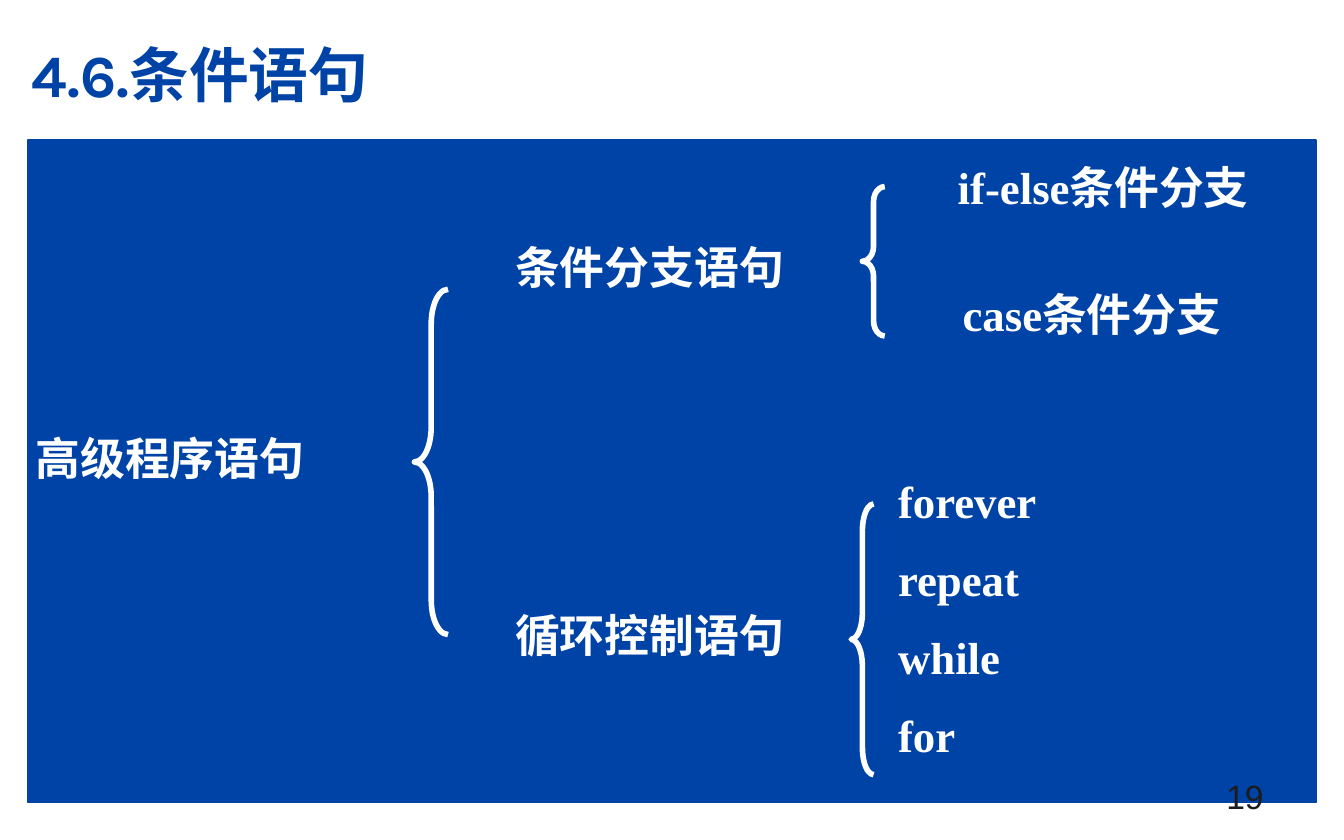
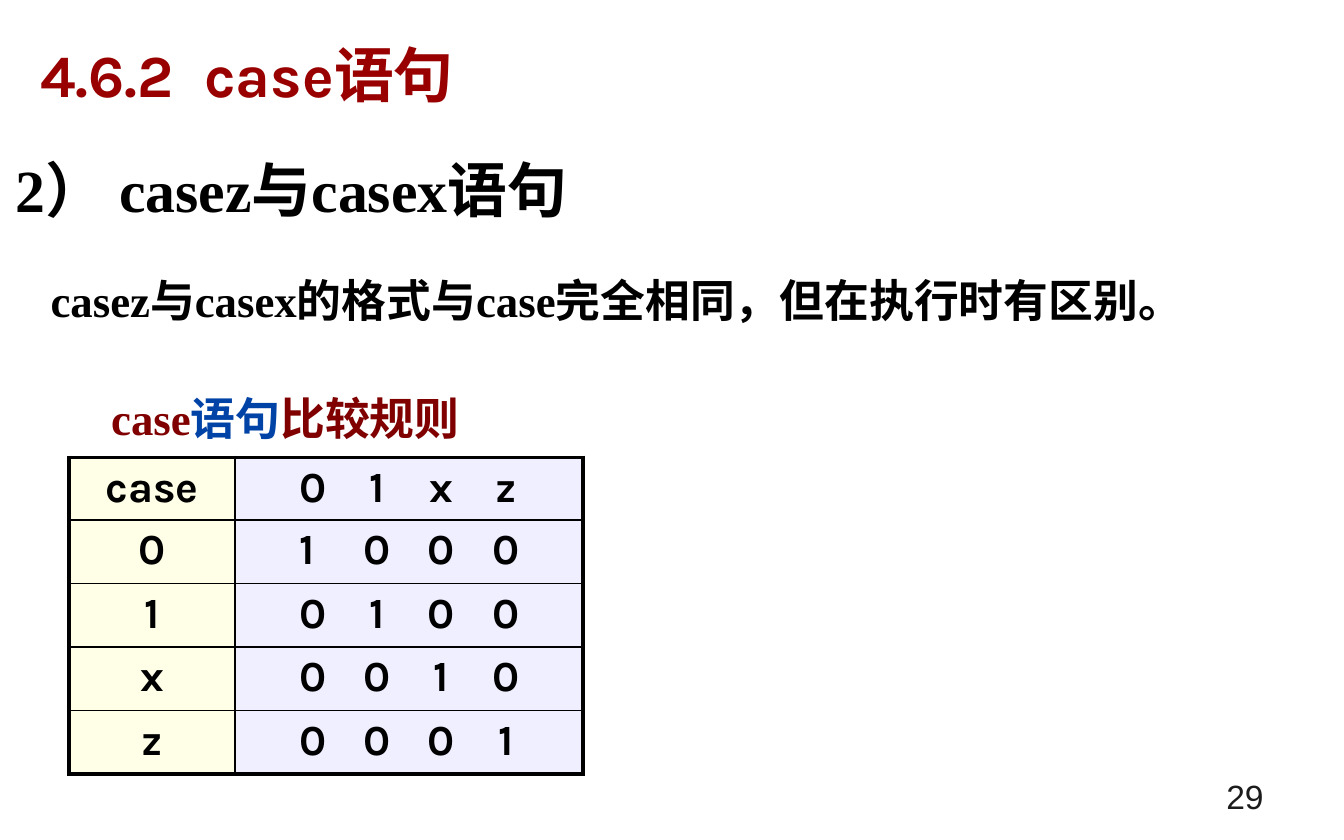
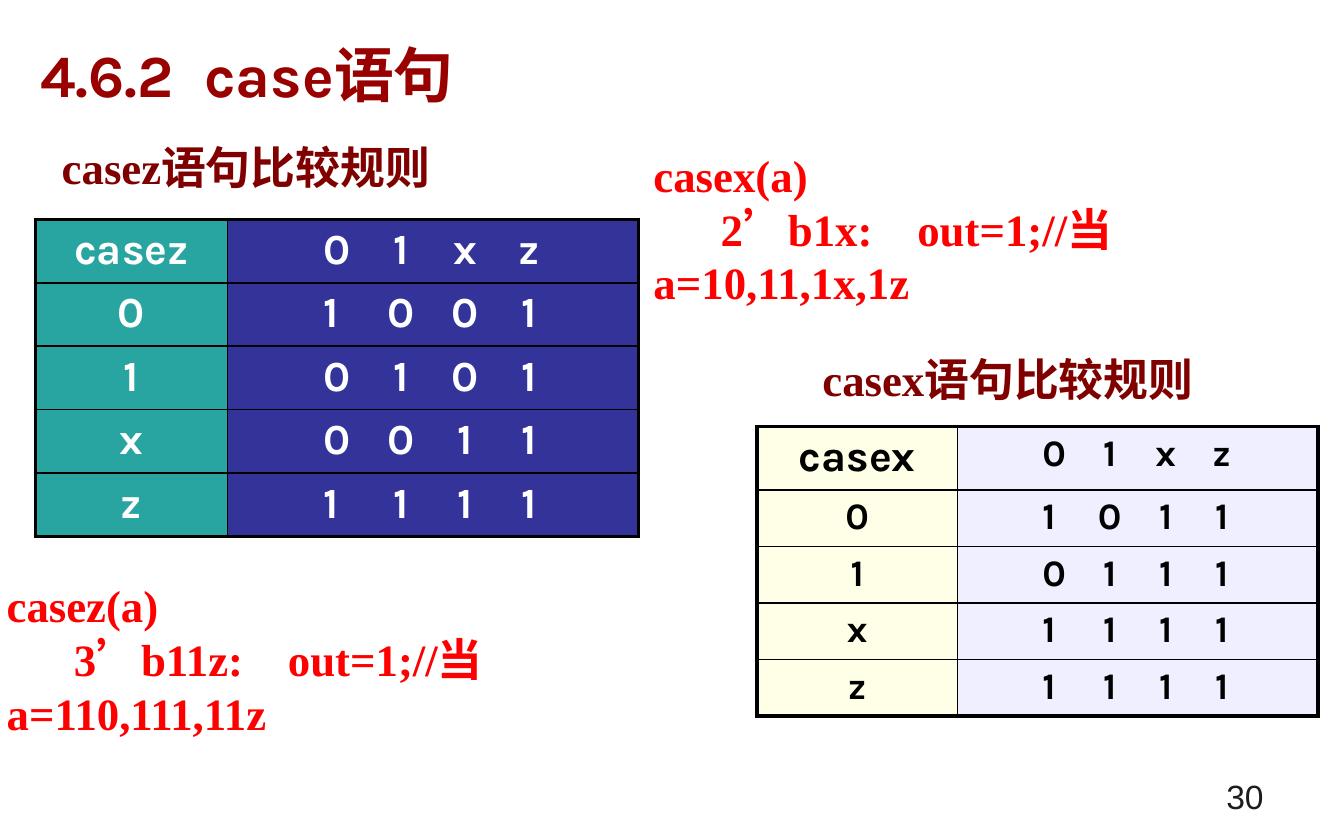
from dataclasses import dataclass

from lxml import etree
from pptx import Presentation
from pptx.dml.color import RGBColor
from pptx.enum.shapes import MSO_SHAPE
from pptx.enum.text import MSO_ANCHOR, PP_ALIGN
from pptx.oxml.ns import qn
from pptx.util import Pt

LEFT, CENTER, RIGHT = PP_ALIGN.LEFT, PP_ALIGN.CENTER, PP_ALIGN.RIGHT
TOP, BOTTOM = MSO_ANCHOR.TOP, MSO_ANCHOR.BOTTOM
RECTANGLE, LEFT_BRACE = MSO_SHAPE.RECTANGLE, MSO_SHAPE.LEFT_BRACE


@dataclass(frozen=True)
class Theme:
    blue: str = "0043A6"
    white: str = "FFFFFF"
    black: str = "000000"
    title_red: str = "990000"
    caption_red: str = "800000"
    code_red: str = "FF0000"
    number_gray: str = "1C1C1C"
    light_fills: tuple = ("FFFFE7", "EFEFFF")
    dark_fills: tuple = ("28A4A1", "333399")
    title_font: str = "Karla"
    body_font: str = "Times New Roman"
    number_font: str = "Arial"
    title_size: float = 32
    body_size: float = 24
    table_size: float = 23
    small_table_size: float = 20
    number_size: float = 18
    outer_border: float = 2.25
    inner_border: float = 1


THEME = Theme()


# Text
def add_run(paragraph, text, color, size, font):
    run = paragraph.add_run()
    run.text = text
    run.font.name = font
    run.font.size = Pt(size)
    run.font.bold = font != THEME.number_font
    run.font.color.rgb = RGBColor.from_string(color)


def add_tabs(paragraph, positions, alignment):
    tab_list = etree.SubElement(paragraph._p.get_or_add_pPr(), qn("a:tabLst"))
    for position in positions:
        etree.SubElement(tab_list, qn("a:tab"), pos=str(Pt(position)), algn=alignment)


def add_text(slide, box, lines, color=THEME.black, size=THEME.body_size,
             font=THEME.body_font, align=LEFT, anchor=TOP, gap=0):
    """Each line is a string, or a list of (text, color) runs."""
    frame = slide.shapes.add_textbox(*map(Pt, box)).text_frame
    frame.word_wrap = True
    frame.vertical_anchor = anchor
    for index, line in enumerate(lines):
        paragraph = frame.add_paragraph() if index else frame.paragraphs[0]
        paragraph.alignment = align
        if index and gap:
            paragraph.space_before = Pt(gap)
        runs = [(line, color)] if isinstance(line, str) else line
        for text, run_color in runs:
            add_run(paragraph, text, run_color, size, font)
    return frame


def add_title(slide, text, left, color):
    frame = add_text(slide, (left, 21, 612, 45), [text], color,
                     THEME.title_size, THEME.title_font)
    paragraph = frame.paragraphs[0]
    paragraph.line_spacing = 0.9
    if "\t" in text:
        add_tabs(paragraph, [88], "l")


def add_slide(presentation, title, number, left=14.4, color=THEME.title_red):
    slide = presentation.slides.add_slide(presentation.slide_layouts[6])
    add_title(slide, title, left, color)
    return slide, number


def add_number(slide, number):
    add_text(slide, (516, 410, 168, 31), [str(number)], THEME.number_gray,
             THEME.number_size, THEME.number_font, RIGHT, BOTTOM)


# Shapes
def add_panel(slide, box):
    panel = slide.shapes.add_shape(RECTANGLE, *map(Pt, box))
    panel.shadow.inherit = False
    panel.fill.solid()
    panel.fill.fore_color.rgb = RGBColor.from_string(THEME.blue)
    panel.line.color.rgb = RGBColor.from_string(THEME.blue)
    panel.line.width = Pt(0.75)


def add_brace(slide, box, curve):
    brace = slide.shapes.add_shape(LEFT_BRACE, *map(Pt, box))
    brace.shadow.inherit = False
    brace.adjustments[0] = curve
    brace.fill.background()
    brace.line.color.rgb = RGBColor.from_string(THEME.white)
    brace.line.width = Pt(3)


# Comparison tables
def set_border(cell, side, width):
    line = etree.SubElement(cell._tc.get_or_add_tcPr(), qn("a:ln" + side), w=str(Pt(width)))
    fill = etree.SubElement(line, qn("a:solidFill"))
    etree.SubElement(fill, qn("a:srgbClr"), val=THEME.black)


def style_cell(cell, fill, outer_sides):
    for side in "LRTB":
        width = THEME.outer_border if side in outer_sides else THEME.inner_border
        set_border(cell, side, width)
    cell.fill.solid()
    cell.fill.fore_color.rgb = RGBColor.from_string(fill)
    cell.margin_top = cell.margin_bottom = Pt(3)


def fill_values(cell, values, width, size, color):
    """Spread the values evenly round the middle of the cell."""
    step, half_glyph = 1.5 * size, 0.3 * size
    span = step * (len(values) - 1)
    cell.margin_left = Pt((width - span) / 2 - half_glyph)
    paragraph = cell.text_frame.paragraphs[0]
    add_tabs(paragraph, [half_glyph + step * k for k in range(1, len(values))], "ctr")
    add_run(paragraph, "\t".join(values), color, size, THEME.title_font)


def add_rules(slide, place, widths, heights, keyword, results, fills,
              color=THEME.black, size=THEME.table_size):
    symbols = "01xz"
    rows = [(keyword, symbols), *zip(symbols, results)]
    header_height, row_height = heights
    total = header_height + row_height * len(results)
    frame = slide.shapes.add_table(len(rows), 2, *map(Pt, (*place, sum(widths), total)))
    table = frame.table
    table.first_row = table.horz_banding = False
    for column, width in zip(table.columns, widths):
        column.width = Pt(width)
    for index, (label, values) in enumerate(rows):
        table.rows[index].height = Pt(row_height if index else header_height)
        edge = {0: "T", len(results): "B"}.get(index, "")
        label_cell, value_cell = table.cell(index, 0), table.cell(index, 1)
        style_cell(label_cell, fills[0], "L" + edge)
        style_cell(value_cell, fills[1], "R" + edge)
        paragraph = label_cell.text_frame.paragraphs[0]
        paragraph.alignment = CENTER
        label_size = size if index else THEME.table_size
        add_run(paragraph, label, color, label_size, THEME.title_font)
        fill_values(value_cell, values, widths[1], size, color)


# Slides
def build_overview(presentation):
    slide, number = add_slide(presentation, "4.6.条件语句", 19, 10, THEME.blue)
    add_panel(slide, (15, 75, 690, 355))
    labels = [
        ((12, 227, 216, 36), "高级程序语句", LEFT),
        ((240, 125, 216, 36), "条件分支语句", CENTER),
        ((240, 322, 216, 36), "循环控制语句", CENTER),
        ((474, 82, 234, 36), "if-else条件分支", CENTER),
        ((474, 150, 222, 36), "case条件分支", CENTER),
    ]
    for box, text, align in labels:
        add_text(slide, box, [text], THEME.white, align=align)
    add_text(slide, (474, 250, 168, 167), ["forever", "repeat", "while", "for"],
             THEME.white, gap=13)
    add_brace(slide, (222, 155, 18, 185), 1.03)
    add_brace(slide, (456, 270, 12, 145), 1.21)
    add_brace(slide, (462, 100, 12, 80), 0.67)
    add_number(slide, number)


def build_case(presentation):
    slide, number = add_slide(presentation, "4.6.2\tcase语句", 29)
    add_text(slide, (1.4, 78.5, 678, 46), ["2） casez与casex语句"], size=THEME.title_size)
    add_text(slide, (20, 142.5, 660, 36),
             ["casez与casex的格式与case完全相同，但在执行时有区别。"])
    add_text(slide, (52.5, 206, 270, 36), [[
        ("case", THEME.caption_red), ("语句", THEME.blue), ("比较规则", THEME.caption_red)]])
    add_rules(slide, (37, 245), (89, 186.5), (33.5, 34), "case",
              ["1000", "0100", "0010", "0001"], THEME.light_fills)
    add_number(slide, number)


def build_casez_casex(presentation):
    slide, number = add_slide(presentation, "4.6.2\tcase语句", 30)
    add_text(slide, (26, 71.5, 270, 36), ["casez语句比较规则"], THEME.caption_red)
    add_rules(slide, (19, 117.5), (103, 220), (34, 34), "casez",
              ["1001", "0101", "0011", "1111"], THEME.dark_fills, THEME.white)
    add_text(slide, (433.5, 185, 270, 36), ["casex语句比较规则"], THEME.caption_red)
    add_rules(slide, (405.5, 228.5), (107.5, 193), (34, 30.3), "casex",
              ["1011", "0111", "1111", "1111"], THEME.light_fills,
              size=THEME.small_table_size)
    add_text(slide, (343, 75.5, 384, 66),
             ["casex(a)", "      2’b1x:    out=1;//当a=10,11,1x,1z"], THEME.code_red)
    add_text(slide, (-3.5, 306, 396, 66),
             ["casez(a)", "      3’b11z:    out=1;//当a=110,111,11z"], THEME.code_red)
    add_number(slide, number)


def main():
    presentation = Presentation()
    presentation.slide_width, presentation.slide_height = Pt(720), Pt(450)
    build_overview(presentation)
    build_case(presentation)
    build_casez_casex(presentation)
    presentation.save("out.pptx")


if __name__ == "__main__":
    main()
